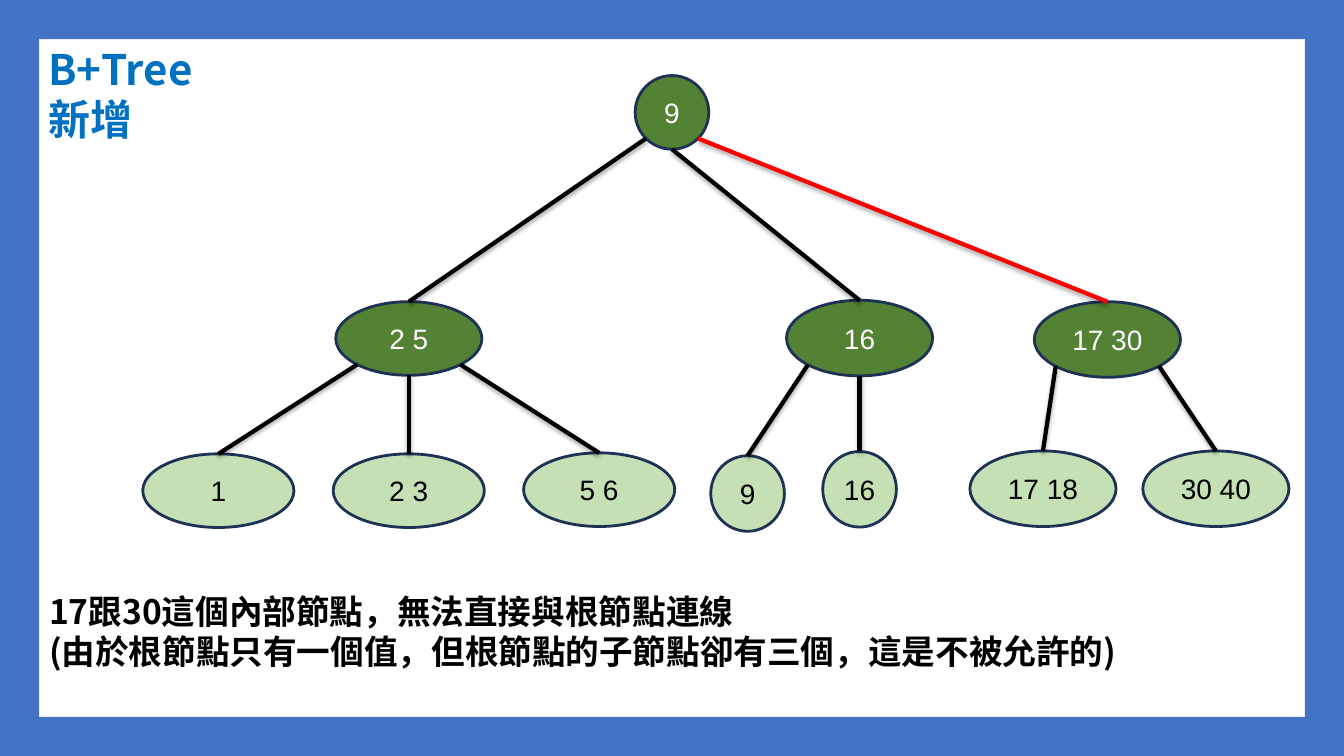
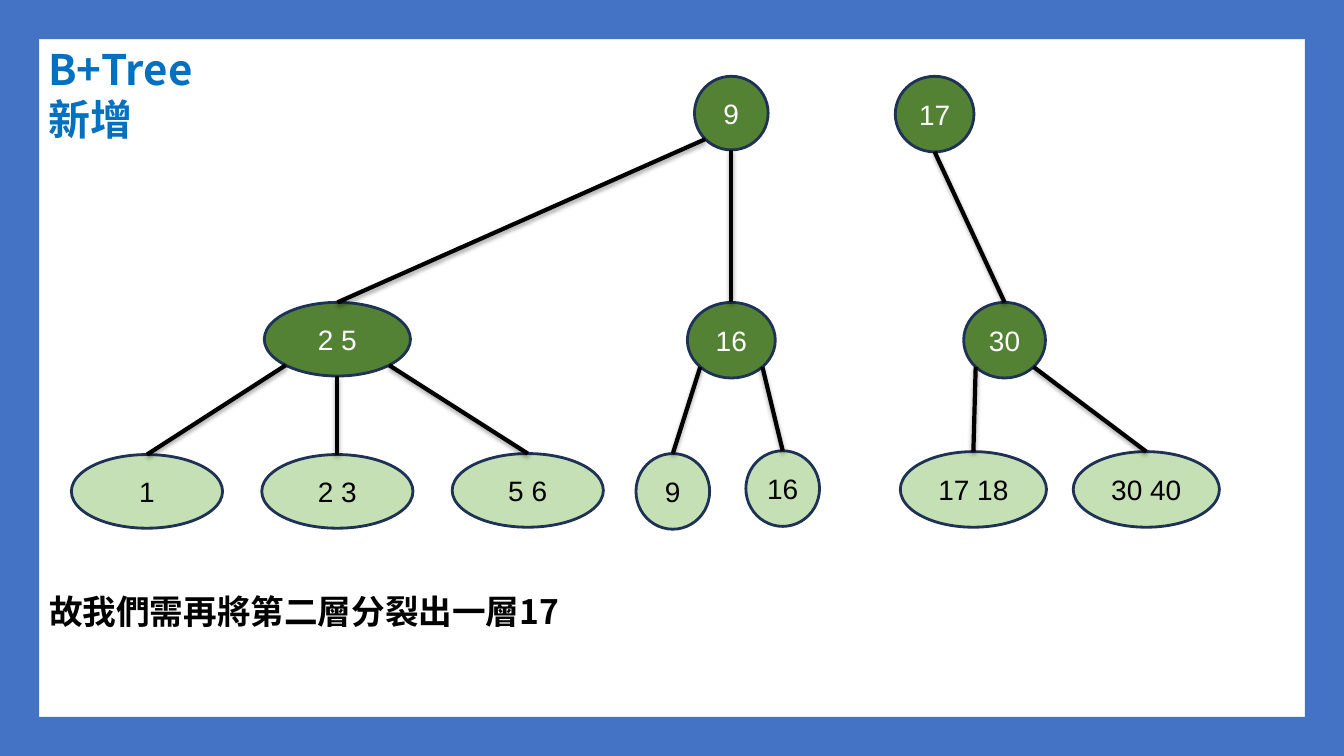
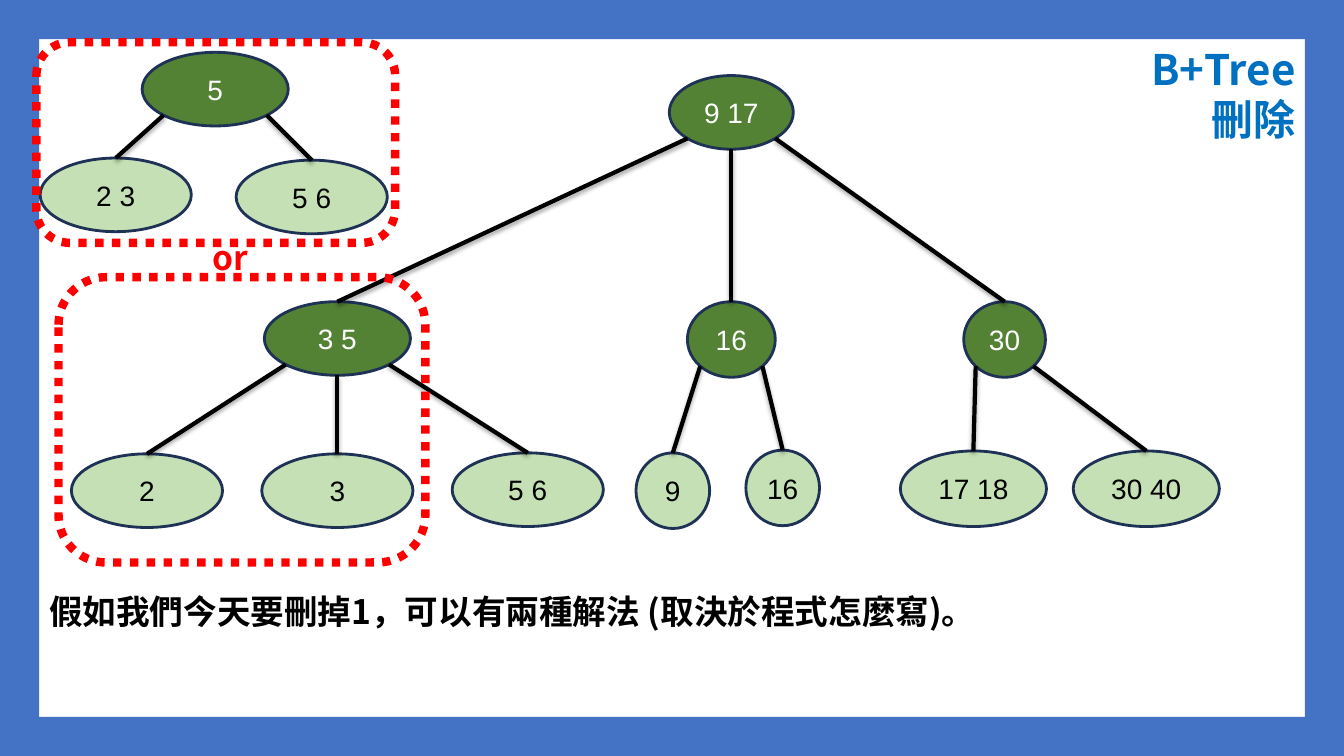
from dataclasses import dataclass
from math import sqrt

from lxml import etree
from pptx import Presentation
from pptx import util as u
from pptx.dml.color import RGBColor
from pptx.enum import dml, shapes, text
from pptx.oxml.ns import qn

W, H, BAND = 960, 540, 28
COLORS = {"band": "4472C4", "inner": "548235", "leaf": "C5E0B4",
          "outline": "1E3256", "title": "0070C0", "black": "000000",
          "white": "FFFFFF", "red": "FF0000"}
CJK = "Noto Sans CJK TC"
FONTS = {"title": {"name": CJK, "size": u.Pt(30), "bold": True},
         "body": {"name": CJK, "size": u.Pt(24), "bold": True},
         "node": {"name": "Arial", "size": u.Pt(20)}}
ALIGN = text.PP_ALIGN

# Ellipse connection sites: index and direction from the centre
D = sqrt(0.5)
SITES = {"left": (3, -D, D), "bottom": (4, 0, 1), "right": (5, D, D)}


@dataclass
class Node:
    """A tree node; dx runs between centres and dy between tops, from the parent."""
    label: str
    dx: float
    dy: float
    w: float
    h: float
    site: str = "bottom"
    kids: tuple = ()
    line: str = "black"


def rgb(name):
    return RGBColor.from_string(COLORS[name])


def box_pt(x, y, w, h):
    return [u.Pt(v) for v in (x, y, w, h)]


def write(tf, lines, font, color, align):
    for i, line in enumerate(lines):
        p = tf.paragraphs[0] if i == 0 else tf.add_paragraph()
        p.text, p.alignment = line, align
        for r in p.runs:
            for key, value in FONTS[font].items():
                setattr(r.font, key, value)
            r.font.color.rgb = rgb(color)
            etree.SubElement(r.font._element, qn("a:ea"), typeface=FONTS[font]["name"])


def add_text(s, box, lines, font="body", color="black", align=ALIGN.LEFT):
    tf = s.shapes.add_textbox(*box_pt(*box)).text_frame
    tf.word_wrap = True
    tf.auto_size = text.MSO_AUTO_SIZE.SHAPE_TO_FIT_TEXT
    write(tf, lines, font, color, align)


def add_shape(s, kind, box, fill=None, line=None, width=0):
    sp = s.shapes.add_shape(kind, *box_pt(*box))
    sp.shadow.inherit = False
    if fill:
        sp.fill.solid()
        sp.fill.fore_color.rgb = rgb(fill)
    else:
        sp.fill.background()
    if line:
        sp.line.color.rgb = rgb(line)
        sp.line.width = u.Pt(width)
    else:
        sp.line.fill.background()
    return sp


def add_edge(s, parent, child, site, color):
    idx, ux, uy = SITES[site]
    x = parent.left + parent.width * (1 + ux) / 2
    y = parent.top + parent.height * (1 + uy) / 2
    c = s.shapes.add_connector(shapes.MSO_CONNECTOR.STRAIGHT, int(x), int(y), 0, 0)
    etree.SubElement(c._element.nvCxnSpPr.cNvCxnSpPr, qn("a:stCxn"),
                     id=str(parent.shape_id), idx=str(idx))
    c.end_connect(child, 0)
    c.line.color.rgb = rgb(color)
    c.line.width = u.Pt(3)
    # Soft shadow straight below
    effects = etree.SubElement(c._element.spPr, qn("a:effectLst"))
    shadow = etree.SubElement(effects, qn("a:outerShdw"), blurRad="40000",
                              dist="23000", dir="5400000", rotWithShape="0")
    clr = etree.SubElement(shadow, qn("a:srgbClr"), val=COLORS["black"])
    etree.SubElement(clr, qn("a:alpha"), val="35000")


def draw_tree(s, node, cx=0, top=0):
    """Draw a node and all below it, relative to its parent's centre and top."""
    cx, top = cx + node.dx, top + node.dy
    fill, color = ("inner", "white") if node.kids else ("leaf", "black")
    sp = add_shape(s, shapes.MSO_SHAPE.OVAL, (cx - node.w / 2, top, node.w, node.h),
                   fill, "outline", 2)
    tf = sp.text_frame
    tf.word_wrap = False
    tf.vertical_anchor = text.MSO_ANCHOR.MIDDLE
    write(tf, [node.label], "node", color, ALIGN.CENTER)
    for kid in node.kids:
        add_edge(s, sp, draw_tree(s, kid, cx, top), kid.site, kid.line)
    return sp


# Subtrees below the root
def left_branch(dx, label, leaves):
    rows = zip(leaves, (-136, 0, 136), (108.7, 108.7, 108), SITES)
    kids = tuple(Node(t, x, y, 108, 52.6, site) for t, x, y, site in rows)
    return Node(label, dx, 161.5, 104.4, 52.6, "left", kids)


def middle_branch(dx, dy, w, leaf_9, leaf_16, site_16):
    return Node("16", dx, dy, w, 54, "bottom",
                (Node("9", *leaf_9, 52.6, 54, "left"),
                 Node("16", *leaf_16, 52.6, 54, site_16)))


def right_branch(dx, label, w, first, site="right", line="black", dy=161.5):
    return Node(label, dx, dy, w, 54, site,
                (Node("17 18", first, 106.6, 104.4, 54, "left"),
                 Node("30 40", first + 123.5, 106.6, 104.4, 54, "right")), line)


def split_middle():
    return middle_branch(0, 161.5, 62.8, (-41.8, 108), (36.7, 106), "right")


def base_slide(prs, title, body, align=ALIGN.LEFT):
    s = prs.slides.add_slide(prs.slide_layouts[6])
    # Frame bands
    for box in ((W - BAND, 0, BAND, H), (0, 0, W, BAND),
                (0, H - BAND, W, BAND), (0, 0, BAND, H)):
        add_shape(s, shapes.MSO_SHAPE.RECTANGLE, box, "band")
    inner = W - 2 * BAND + 1
    add_text(s, (27.5, 27.5, inner, 80), ["B+Tree", title], "title", "title", align)
    add_text(s, (BAND, 418.3, inner, 36), [body])
    return s


def root_link_slide(prs):
    s = base_slide(prs, "新增", "17跟30這個內部節點，無法直接與根節點連線\v"
                   "(由於根節點只有一個值，但根節點的子節點卻有三個，這是不被允許的)")
    draw_tree(s, Node("9", 480, 54, 52.6, 52.6, kids=(
        left_branch(-188, "2 5", ("1", "2 3", "5 6")),
        middle_branch(134, 160.5, 104.4, (-80, 111), (0, 108), "bottom"),
        right_branch(311, "17 30", 104.4, -46, line="red"))))


def split_slide(prs):
    s = base_slide(prs, "新增", "故我們需再將第二層分裂出一層17")
    draw_tree(s, Node("9", 522.4, 54.5, 52.6, 52.6, kids=(
        left_branch(-281.4, "2 5", ("1", "2 3", "5 6")), split_middle())))
    draw_tree(s, Node("17", 667.6, 54.5, 56.2, 54, kids=(
        right_branch(50, "30", 58.4, -22.3, "bottom"),)))


def delete_slide(prs):
    s = base_slide(prs, "刪除", "假如我們今天要刪掉1，可以有兩種解法 (取決於程式怎麼寫)。",
                   ALIGN.RIGHT)
    draw_tree(s, Node("9 17", 522.4, 54, 88.6, 52.6, kids=(
        left_branch(-281.4, "3 5", ("2", "3", "5 6")), split_middle(),
        right_branch(195.2, "30", 58.4, -22.3))))
    # Alternative result
    draw_tree(s, Node("5", 153.7, 37.4, 104.4, 52.6, kids=(
        Node("2 3", -71, 75.5, 108, 52.6, "left"),
        Node("5 6", 69, 77, 108, 52.6, "right"))))
    # Dotted outlines of both options
    for box in ((41.8, 198, 262, 203.8), (26, 30.2, 256.3, 143.3)):
        sp = add_shape(s, shapes.MSO_SHAPE.ROUNDED_RECTANGLE, box, None, "red", 6)
        sp.line.dash_style = dml.MSO_LINE.ROUND_DOT
    add_text(s, (144.7, 165.6, 62, 36), ["or"], color="red")


def main():
    prs = Presentation()
    prs.slide_width, prs.slide_height = u.Pt(W), u.Pt(H)
    for build in (root_link_slide, split_slide, delete_slide):
        build(prs)
    prs.save("out.pptx")


if __name__ == "__main__":
    main()
